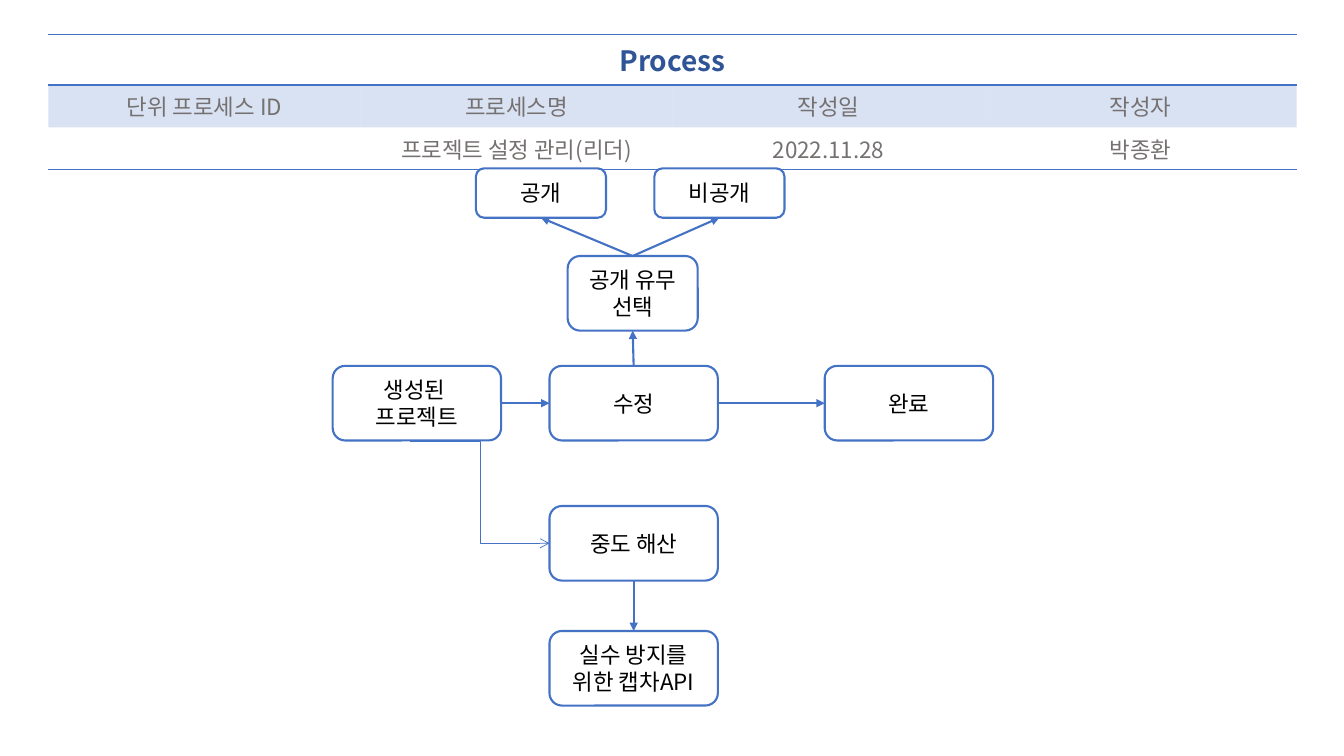
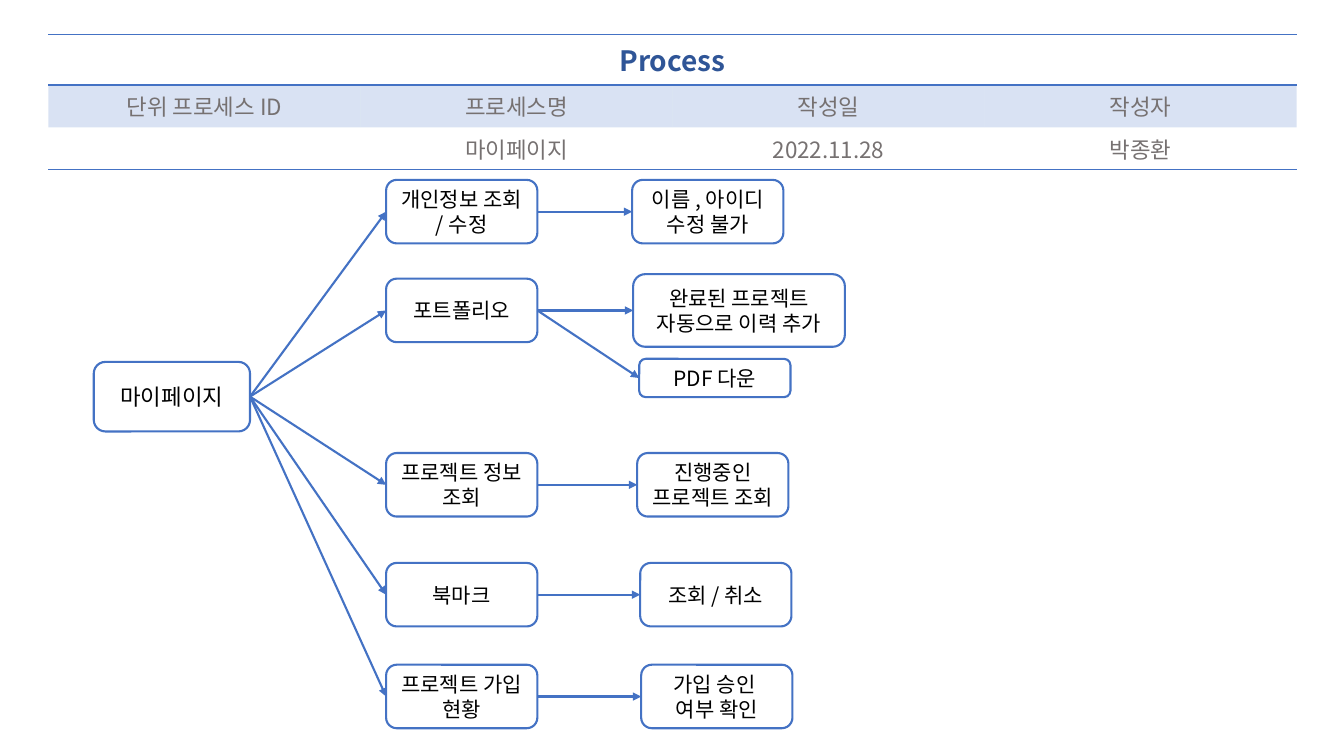
from dataclasses import dataclass
from lxml.etree import SubElement
from pptx import Presentation
from pptx.dml.color import RGBColor
from pptx.enum.shapes import MSO_CONNECTOR, MSO_SHAPE
from pptx.enum.text import MSO_ANCHOR, PP_ALIGN
from pptx.oxml.ns import qn
from pptx.util import Inches, Pt


@dataclass(frozen=True)
class Theme:
    font: str = "Noto Sans CJK KR"
    accent: str = "4472C4"
    title: str = "2F5597"
    muted: str = "767171"
    ink: str = "000000"
    paper: str = "FFFFFF"
    title_size: int = 20
    body_size: int = 16
    branch_size: int = 15
    box_line: float = 1.5
    rule: float = 1
    thin_line: float = 0.5
    band_alpha: int = 20


T = Theme()
TOP, LEFT, BOTTOM, RIGHT = range(4)

# Content: header table
TITLE = "Process"
HEADINGS = ["단위 프로세스 ID", "프로세스명", "작성일", "작성자"]
DATE, AUTHOR = "2022.11.28", "박종환"

# Content: project settings, name -> (text, left, top, width, height)
STEP_W, STEP_H, STEP_X, STEP_Y = 1.67, 0.74, 5.45, 3.63
CHOICE_W, CHOICE_H, CHOICE_Y = 1.29, 0.49, 1.67
SETTINGS_BOXES = {
    "project": ("생성된 \n프로젝트", 3.3, STEP_Y, STEP_W, STEP_H),
    "edit": ("수정", STEP_X, STEP_Y, STEP_W, STEP_H),
    "done": ("완료", 8.18, STEP_Y, STEP_W, STEP_H),
    "visibility": ("공개 유무\n선택", 5.63, 2.54, CHOICE_W, STEP_H),
    "public": ("공개", 4.72, CHOICE_Y, CHOICE_W, CHOICE_H),
    "private": ("비공개", 6.49, CHOICE_Y, CHOICE_W, CHOICE_H),
    "disband": ("중도 해산", STEP_X, 5.02, STEP_W, STEP_H),
    "captcha": ("실수 방지를 위한 캡차API", STEP_X, 6.26, STEP_W, STEP_H),
}
SETTINGS_LINKS = [
    ("project", RIGHT, "edit", LEFT),
    ("edit", RIGHT, "done", LEFT),
    ("edit", TOP, "visibility", BOTTOM),
    ("visibility", TOP, "public", BOTTOM),
    ("visibility", TOP, "private", BOTTOM),
    ("disband", BOTTOM, "captcha", TOP),
]
DISBAND_START = (4.07, 4.38)

# Content: my page, (branch, middle y, [(detail, left, middle y, width, height)])
ROOT = ("마이페이지", 0.93, 3.59, 1.55, 0.69)
BRANCH_X, BRANCH_W, BRANCH_H = 3.83, 1.5, 0.63
BRANCHES = [
    ("개인정보 조회 \n/ 수정", 2.1,
     [("이름 , 아이디 수정 불가", 6.27, 2.1, BRANCH_W, BRANCH_H)]),
    ("포트폴리오", 3.08,
     [("완료된 프로젝트 자동으로 이력 추가", 6.28, 3.08, 2.1, 0.72),
      ("PDF 다운", 6.34, 3.75, BRANCH_W, 0.38)]),
    ("프로젝트 정보 조회", 4.81,
     [("진행중인 프로젝트 조회", 6.32, 4.81, BRANCH_W, BRANCH_H)]),
    ("북마크", 5.9,
     [("조회 / 취소", 6.35, 5.9, BRANCH_W, BRANCH_H)]),
    ("프로젝트 가입 현황", 6.91,
     [("가입 승인 \n여부 확인", 6.36, 6.91, BRANCH_W, BRANCH_H)]),
]


def rgb(color):
    return RGBColor.from_string(color)


def write(tf, text, size=T.body_size, color=T.ink, bold=False):
    """Fill a text frame with centred paragraphs, one per line."""
    for i, line in enumerate(text.split("\n")):
        p = tf.add_paragraph() if i else tf.paragraphs[0]
        p.alignment = PP_ALIGN.CENTER
        if not line:
            SubElement(p._p, qn("a:endParaRPr"), sz=str(size * 100))
            continue
        r = p.add_run()
        r.text = line
        r.font.name, r.font.size, r.font.bold = T.font, Pt(size), bold
        r.font.color.rgb = rgb(color)
        SubElement(r._r.get_or_add_rPr(), qn("a:ea"), typeface=T.font)


def add_border(cell, *sides):
    """Rule the given sides ("T", "B") of a cell."""
    tcPr = cell._tc.get_or_add_tcPr()
    for i, side in enumerate(sides):
        ln = SubElement(tcPr, qn(f"a:ln{side}"), w=str(Pt(T.rule)))
        fill = SubElement(ln, qn("a:solidFill"))
        SubElement(fill, qn("a:srgbClr"), val=T.accent)
        tcPr.insert(i, ln)


def add_header(s, process):
    rows = [[TITLE, "", "", ""], HEADINGS, ["", process, DATE, AUTHOR]]
    frame = s.shapes.add_table(3, 4, Inches(0.48), Inches(0.34),
                               Inches(12.38), Inches(1.22))
    table = frame.table
    table.first_row = table.horz_banding = False
    # Plain style without grid
    style = table._tbl.tblPr.find(qn("a:tableStyleId"))
    style.text = "{2D5ABB26-0587-4C30-8999-92F81FD0307C}"
    for row, height in zip(table.rows, (0.46, 0.38, 0.38)):
        row.height = Inches(height)
    table.cell(0, 0).merge(table.cell(0, 3))
    formats = [dict(size=T.title_size, color=T.title, bold=True),
               dict(color=T.muted), dict(color=T.muted)]
    borders = ["TB", "", "B"]
    for i, texts in enumerate(rows):
        for j, text in enumerate(texts):
            cell = table.cell(i, j)
            write(cell.text_frame, text, **formats[i])
            if i == 1:
                cell.fill.solid()
                cell.fill.fore_color.rgb = rgb(T.accent)
                clr = cell._tc.tcPr.find(".//" + qn("a:srgbClr"))
                SubElement(clr, qn("a:alpha"), val=str(T.band_alpha * 1000))
            else:
                cell.fill.background()
            add_border(cell, *borders[i])


def add_box(s, text, left, top, width, height, size=T.body_size):
    sp = s.shapes.add_shape(MSO_SHAPE.ROUNDED_RECTANGLE, Inches(left),
                            Inches(top), Inches(width), Inches(height))
    sp.shadow.inherit = False
    sp.fill.solid()
    sp.fill.fore_color.rgb = rgb(T.paper)
    sp.line.color.rgb = rgb(T.accent)
    sp.line.width = Pt(T.box_line)
    tf = sp.text_frame
    tf.word_wrap = True
    tf.vertical_anchor = MSO_ANCHOR.MIDDLE
    write(tf, text, size=size)
    return sp


def add_arrow(s, target, target_side, source=None, source_side=RIGHT,
              start=(0, 0), kind=MSO_CONNECTOR.STRAIGHT,
              width=T.box_line, head="triangle"):
    """Draw an arrow to a box, from another box or from a free point."""
    x, y = map(Inches, start)
    cx = s.shapes.add_connector(kind, x, y, x, y)
    if source is not None:
        cx.begin_connect(source, source_side)
    cx.end_connect(target, target_side)
    cx.line.color.rgb = rgb(T.accent)
    cx.line.width = Pt(width)
    SubElement(cx.line._get_or_add_ln(), qn("a:tailEnd"), type=head)
    SubElement(cx._element.spPr, qn("a:effectLst"))


def add_process_slide(prs, process):
    s = prs.slides.add_slide(prs.slide_layouts[6])
    add_header(s, process)
    return s


def build_settings(prs):
    s = add_process_slide(prs, "프로젝트 설정 관리(리더)")
    boxes = {name: add_box(s, *box) for name, box in SETTINGS_BOXES.items()}
    for source, source_side, target, target_side in SETTINGS_LINKS:
        add_arrow(s, boxes[target], target_side, boxes[source], source_side)
    add_arrow(s, boxes["disband"], LEFT, start=DISBAND_START,
              kind=MSO_CONNECTOR.ELBOW, width=T.thin_line, head="arrow")


def build_my_page(prs):
    s = add_process_slide(prs, "마이페이지")
    root = add_box(s, *ROOT)
    for text, middle, details in BRANCHES:
        branch = add_box(s, text, BRANCH_X, middle - BRANCH_H / 2,
                         BRANCH_W, BRANCH_H, size=T.branch_size)
        add_arrow(s, branch, LEFT, root)
        for detail, left, detail_y, width, height in details:
            box = add_box(s, detail, left, detail_y - height / 2,
                          width, height, size=T.branch_size)
            add_arrow(s, box, LEFT, branch)


def main():
    prs = Presentation()
    prs.slide_width, prs.slide_height = Inches(13.33), Inches(7.5)
    build_settings(prs)
    build_my_page(prs)
    prs.save("out.pptx")


if __name__ == "__main__":
    main()
